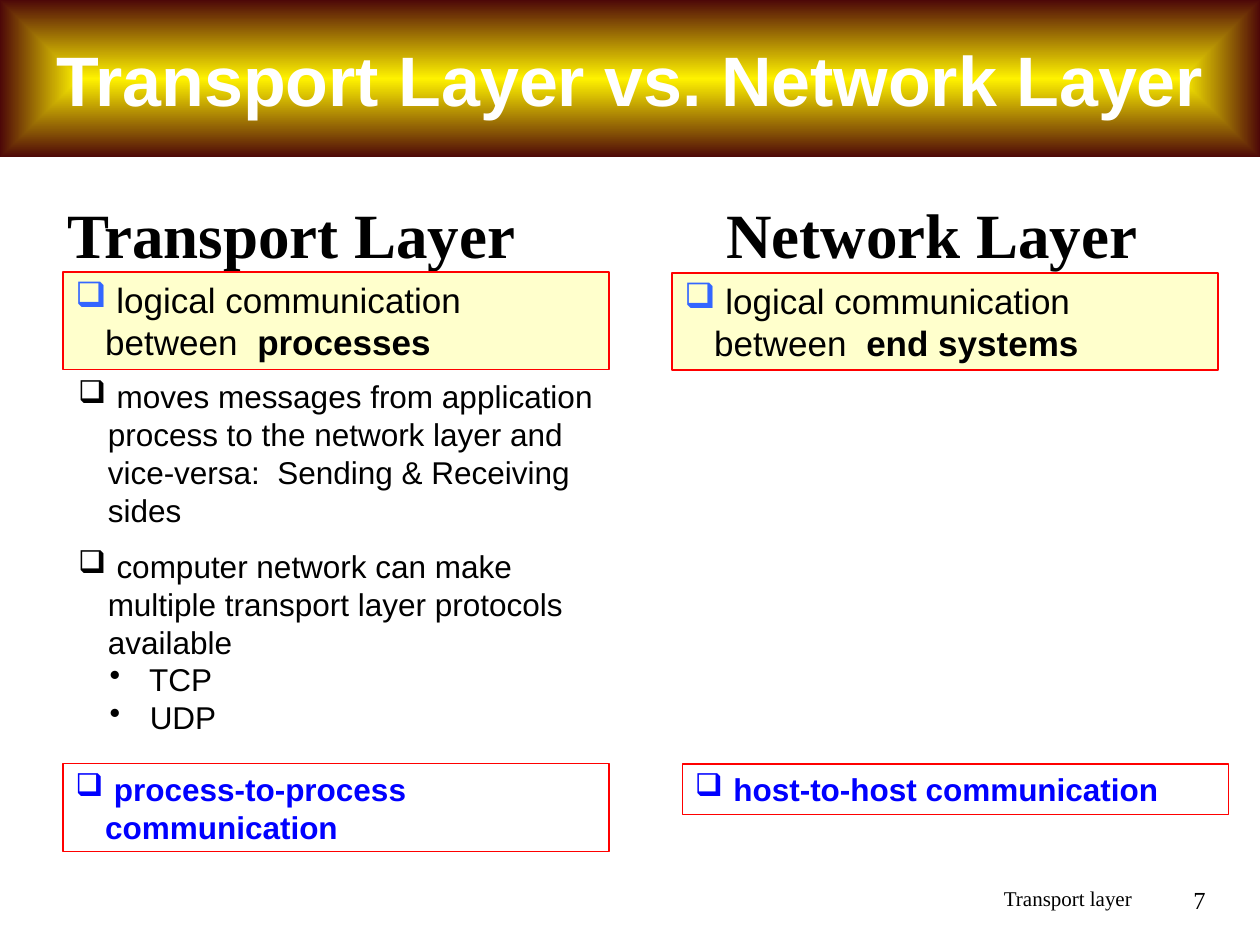
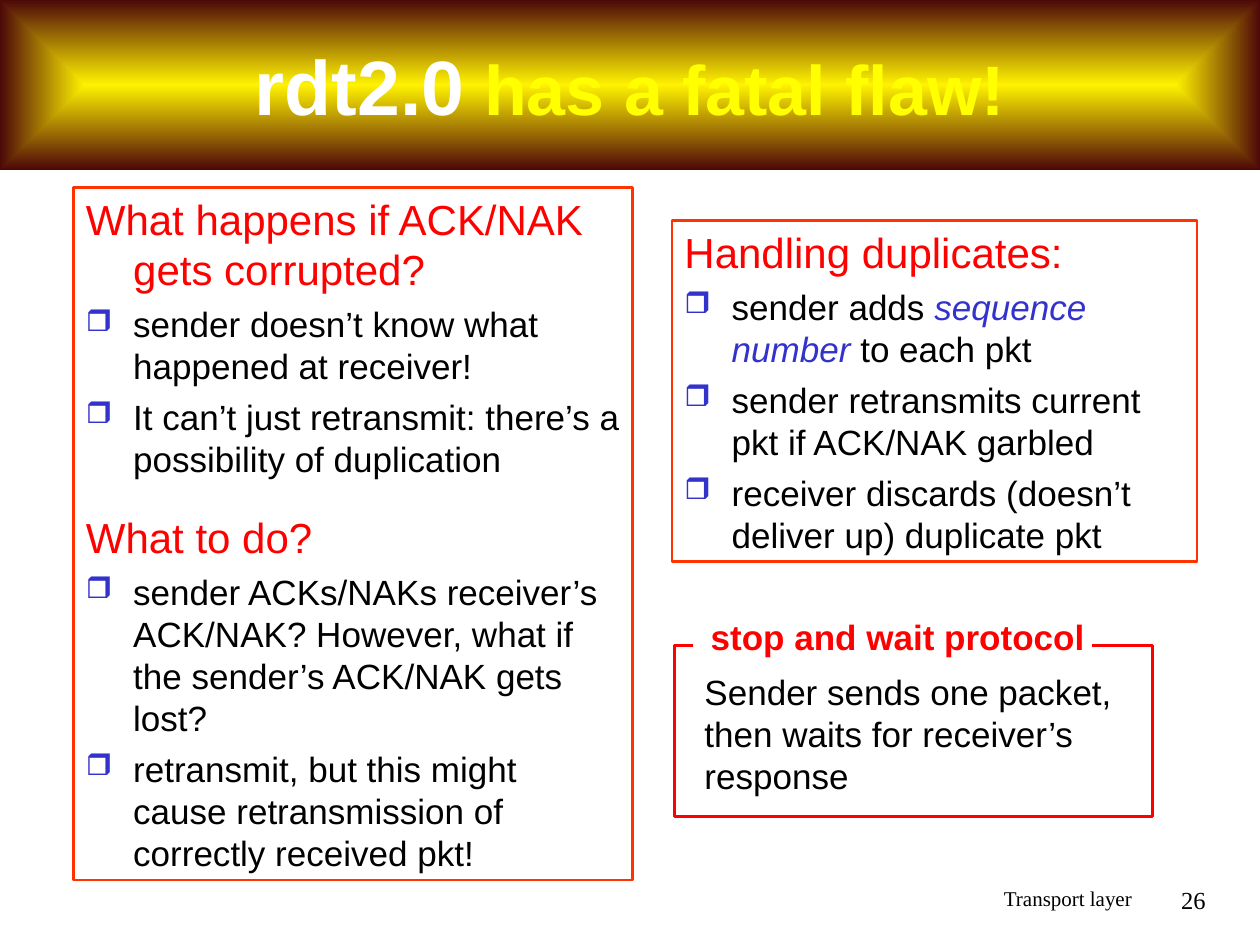
import pptx
import pptx.util
import pptx.dml.color
import pptx.enum.shapes
import pptx.enum.text
import pptx.oxml
import pptx.oxml.ns

Pt = pptx.util.Pt
ALIGN = pptx.enum.text.PP_ALIGN
ANCHOR = pptx.enum.text.MSO_ANCHOR
SHAPE = pptx.enum.shapes.MSO_SHAPE

SANS, SERIF = "Arial", "Times New Roman"
BLACK, WHITE, RED, YELLOW = "000000", "FFFFFF", "FF0000", "FFFF00"
BAND_CENTER, BAND_EDGE = "FFF200", "4D0808"
CREAM, SKY, BLUE, INDIGO, ORANGE = "FFFFCC", "3366FF", "0000FF", "3333CC", "FF3300"
COLUMN_WIDTH = 312


def rgb(value):
    return pptx.dml.color.RGBColor.from_string(value)


def drawing_xml(markup):
    namespace = pptx.oxml.ns.nsdecls("a")
    return pptx.oxml.parse_xml(markup.replace(">", f" {namespace}>", 1))


def add_bullet(paragraph, symbol, color, percent, margin, hanging):
    properties = paragraph._p.get_or_add_pPr()
    properties.set("marL", str(Pt(margin)))
    properties.set("indent", str(-Pt(hanging)))
    if symbol:
        properties.append(drawing_xml(f'<a:buClr><a:srgbClr val="{color}"/></a:buClr>'))
        properties.append(drawing_xml(f'<a:buSzPct val="{percent * 1000}"></a:buSzPct>'))
        properties.append(drawing_xml(f'<a:buChar char="{symbol}"></a:buChar>'))


def add_text(frame, *pieces, size=20, font=SANS, color=BLACK, bold=False,
             align=ALIGN.LEFT, before=0, spacing=None, bullet=None,
             bullet_color=BLACK, bullet_percent=100, margin=0, hanging=0):
    paragraph = frame.add_paragraph() if frame.text else frame.paragraphs[0]
    paragraph.alignment = align
    add_bullet(paragraph, bullet, bullet_color, bullet_percent, margin, hanging)
    if before:
        paragraph.space_before = Pt(before)
    if spacing:
        paragraph.line_spacing = spacing
    for piece in pieces:
        text, changes = piece if isinstance(piece, tuple) else (piece, {})
        run = paragraph.add_run()
        run.text = text
        run.font.name = font
        run.font.size = Pt(changes.get("size", size))
        run.font.bold = changes.get("bold", bold)
        run.font.italic = changes.get("italic", False)
        run.font.color.rgb = rgb(changes.get("color", color))


def prepare_frame(frame, wrap=True, anchor=ANCHOR.TOP):
    frame.word_wrap = wrap
    frame.auto_size = pptx.enum.text.MSO_AUTO_SIZE.NONE
    frame.vertical_anchor = anchor
    frame.margin_left = frame.margin_right = Pt(7.2)
    frame.margin_top = frame.margin_bottom = Pt(3.6)
    return frame


def add_text_area(slide, left, top, width, height, wrap=True):
    box = slide.shapes.add_textbox(Pt(left), Pt(top), Pt(width), Pt(height))
    return prepare_frame(box.text_frame, wrap)


def add_panel(slide, left, top, width, height, fill=WHITE, line=None,
              line_width=0.75, rounded=False, wrap=True):
    kind = SHAPE.ROUNDED_RECTANGLE if rounded else SHAPE.RECTANGLE
    panel = slide.shapes.add_shape(kind, Pt(left), Pt(top), Pt(width), Pt(height))
    panel.shadow.inherit = False
    if rounded:
        panel.adjustments[0] = 0
    if fill:
        panel.fill.solid()
        panel.fill.fore_color.rgb = rgb(fill)
    else:
        panel.fill.background()
    if line:
        panel.line.color.rgb = rgb(line)
        panel.line.width = Pt(line_width)
    else:
        panel.line.fill.background()
    return prepare_frame(panel.text_frame, wrap)


def add_title_slide(deck, band_height, number, *title_pieces):
    slide = deck.slides.add_slide(deck.slide_layouts[5])
    title = slide.shapes.title
    title.left, title.top = Pt(0), Pt(0)
    title.width, title.height = deck.slide_width, Pt(band_height)
    title._element.spPr.append(drawing_xml(
        '<a:gradFill rotWithShape="1"><a:gsLst>'
        f'<a:gs pos="0"><a:srgbClr val="{BAND_CENTER}"/></a:gs>'
        f'<a:gs pos="100000"><a:srgbClr val="{BAND_EDGE}"/></a:gs></a:gsLst>'
        '<a:path path="rect"><a:fillToRect l="50000" t="50000" r="50000" b="50000"/>'
        '</a:path></a:gradFill>'))
    frame = prepare_frame(title.text_frame, anchor=ANCHOR.MIDDLE)
    add_text(frame, *title_pieces, size=40, color=WHITE, bold=True, align=ALIGN.CENTER)

    footer_style = dict(font=SERIF, align=ALIGN.RIGHT, spacing=0.92)
    add_text(add_text_area(slide, 426, 504, 228, 21), "Transport layer", size=12, **footer_style)
    add_text(add_text_area(slide, 643, 504, 53, 23), number, size=14, **footer_style)
    return slide


def add_box_item(frame, *pieces, color=BLACK, bullet_color=BLACK, **style):
    add_text(frame, *pieces, color=color, bullet="❑", bullet_color=bullet_color,
             margin=17, hanging=17, **style)


def add_question(frame, text, before=0):
    add_text(frame, text, size=24, color=RED, before=before, margin=27, hanging=27)


def add_answers(frame, *answers):
    for answer in answers:
        pieces = answer if isinstance(answer, list) else [answer]
        add_text(frame, *pieces, before=5, bullet="❒", bullet_color=INDIGO,
                 bullet_percent=85, margin=27, hanging=27)


def build_comparison(deck):
    slide = add_title_slide(deck, 90, "7", "Transport Layer vs. Network Layer")

    columns = [
        ("Transport Layer", 30, 273, 36, 155.5, "processes",
         36, 50, " process-to-process communication"),
        ("Network Layer", 408, 249, 384, 156, "end systems",
         390, 29, " host-to-host communication"),
    ]
    for (heading, heading_left, heading_width, role_left, role_top, endpoints,
         summary_left, summary_height, summary) in columns:
        heading_area = add_text_area(slide, heading_left, 108, heading_width, 50, wrap=False)
        add_text(heading_area, heading, size=36, font=SERIF, bold=True, align=ALIGN.CENTER)
        role = add_panel(slide, role_left, role_top, COLUMN_WIDTH, 55.5, fill=CREAM, line=RED)
        add_box_item(role, " logical communication between  ", (endpoints, {"bold": True}),
                     bullet_color=SKY)
        summary_panel = add_panel(slide, summary_left, 436.5, COLUMN_WIDTH, summary_height, line=RED)
        add_box_item(summary_panel, summary, size=18, color=BLUE, bullet_color=BLUE, bold=True)

    duties = add_text_area(slide, 37.5, 212, COLUMN_WIDTH, 94)
    add_box_item(duties, " moves messages from application process to the network layer "
                 "and vice-versa:  Sending & Receiving sides", size=18)
    protocols = add_text_area(slide, 37.5, 309, COLUMN_WIDTH, 115)
    add_box_item(protocols, " computer network can make multiple transport layer "
                 "protocols available", size=18)
    for protocol in (" TCP", " UDP"):
        add_text(protocols, protocol, size=18, bullet="•", margin=36, hanging=18)


def build_flaw(deck):
    slide = add_title_slide(deck, 97, "26", ("rdt2.0", {"size": 44}), " ",
                            ("has a fatal flaw!", {"color": YELLOW}))

    problem = add_panel(slide, 42, 107, 319.5, 396, line=ORANGE, line_width=1.5)
    add_question(problem, "What happens if ACK/NAK gets corrupted?")
    add_answers(problem, "sender doesn’t know what happened at receiver!",
                "It can’t just retransmit: there’s a possibility of duplication")
    add_question(problem, "What to do?", before=18)
    add_answers(problem,
                "sender ACKs/NAKs receiver’s ACK/NAK? However, what if the sender’s "
                "ACK/NAK gets lost?",
                "retransmit, but this might cause retransmission of correctly received pkt!")

    duplicates = add_panel(slide, 384, 126, 300, 195, line=ORANGE, line_width=1.5)
    add_question(duplicates, "Handling duplicates:")
    add_answers(duplicates,
                ["sender adds ", ("sequence number", {"color": INDIGO, "italic": True}),
                 " to each pkt"],
                "sender retransmits current pkt if ACK/NAK garbled",
                "receiver discards (doesn’t deliver up) duplicate pkt")

    definition = add_panel(slide, 395.5, 379.5, 252.5, 79, rounded=True)
    for line in ("Sender sends one packet,", "then waits for receiver’s", "response"):
        add_text(definition, line)
    add_panel(slide, 385.5, 369, 273, 97.5, fill=None, line=RED, line_width=1.5, rounded=True)
    add_panel(slide, 396, 362, 228, 22, rounded=True)
    caption = add_panel(slide, 399, 348, 228, 32, fill=None, rounded=True, wrap=False)
    add_text(caption, "stop and wait protocol", color=RED, bold=True, align=ALIGN.CENTER)


def main():
    deck = pptx.Presentation()
    deck.slide_width, deck.slide_height = Pt(720), Pt(540)
    build_comparison(deck)
    build_flaw(deck)
    deck.save("out.pptx")


if __name__ == "__main__":
    main()
